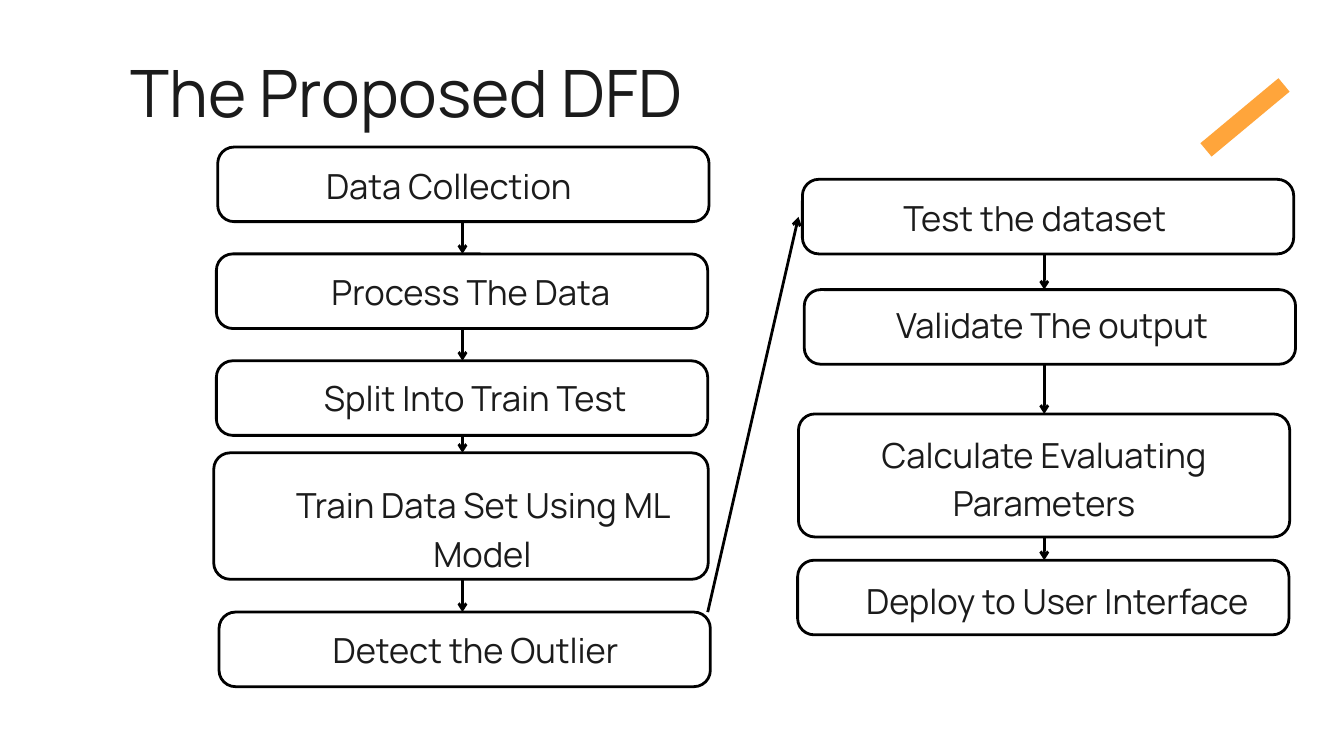
"""Build the flowchart slide of the proposed data flow."""
from lxml import etree
from pptx import Presentation
from pptx.dml.color import RGBColor
from pptx.enum.shapes import MSO_CONNECTOR, MSO_SHAPE
from pptx.enum.text import MSO_ANCHOR, MSO_AUTO_SIZE, PP_ALIGN
from pptx.oxml.ns import qn
from pptx.util import Cm, Pt


def rgb(value):
    return RGBColor.from_string(value)


def add_arrow(s, x1, y1, x2, y2):
    c = s.shapes.add_connector(MSO_CONNECTOR.STRAIGHT, Cm(x1), Cm(y1), Cm(x2), Cm(y2))
    c.line.color.rgb = rgb("000000")
    c.line.width = Pt(3)
    etree.SubElement(c.line._get_or_add_ln(), qn("a:tailEnd"), type="arrow")
    etree.SubElement(c._element.spPr, qn("a:effectLst"))


FONT, INK = "Manrope", "1B1B1B"
BOX_W, BOX_H, RADIUS, INSET = 18.57, 2.82, 0.62, 0.15

prs = Presentation()
prs.slide_width, prs.slide_height = Cm(50.8), Cm(28.58)
s = prs.slides.add_slide(prs.slide_layouts[5])
s.background.fill.solid()
s.background.fill.fore_color.rgb = rgb("FFFFFF")

title = s.shapes.title
title.left, title.top, title.width, title.height = Cm(4.93), Cm(1.75), Cm(23.01), Cm(3.12)
tf = title.text_frame
tf.margin_left = tf.margin_right = tf.margin_top = tf.margin_bottom = 0
tf.vertical_anchor = MSO_ANCHOR.TOP
tf.auto_size = MSO_AUTO_SIZE.NONE
tf.word_wrap = True
p = tf.paragraphs[0]
p.alignment = PP_ALIGN.LEFT
p.line_spacing = Pt(90.3)
r = p.add_run()
r.text = "The Proposed DFD"
r.font.name, r.font.size, r.font.color.rgb = FONT, Pt(70), rgb(INK)

bar = s.shapes.add_shape(MSO_SHAPE.RECTANGLE, Cm(45.14), Cm(4.11), Cm(3.84), Cm(0.66))
bar.rotation = 320.2
bar.shadow.inherit = False
bar.fill.solid()
bar.fill.fore_color.rgb = rgb("FFA53B")
bar.line.fill.background()

# Each step: text, left, top, width, height, text shift right, text shift down
columns = [
    (17.48, [
        ("Data Collection", 8.23, 5.56, BOX_W, BOX_H, -0.55, -0.08),
        ("Process The Data", 8.18, 9.6, BOX_W, BOX_H, 0.33, -0.1),
        ("Split Into Train Test", 8.18, 13.64, BOX_W, BOX_H, 0.5, -0.14),
        ("Train Data Set Using ML Model", 8.08, 17.12, 18.69, 4.78, 0.81, 0.37),
        ("Detect the Outlier", 8.28, 23.14, BOX_W, BOX_H, 0.41, -0.1),
    ]),
    (39.47, [
        ("Test the dataset", 30.33, 6.78, BOX_W, BOX_H, -0.5, -0.08),
        ("Validate The output", 30.4, 10.95, BOX_W, BOX_H, 0.08, -0.22),
        ("Calculate Evaluating Parameters", 30.18, 15.65, BOX_W, 4.65, 0, 0),
        ("Deploy to User Interface", 30.15, 21.18, BOX_W, BOX_H, 0.53, 0),
    ]),
]

for arrow_x, steps in columns:
    for text, x, y, w, h, dx, dy in steps:
        sp = s.shapes.add_shape(MSO_SHAPE.ROUNDED_RECTANGLE, Cm(x), Cm(y), Cm(w), Cm(h))
        sp.adjustments[0] = RADIUS / h
        sp.shadow.inherit = False
        sp.fill.solid()
        sp.fill.fore_color.rgb = rgb("FFFFFF")
        sp.line.color.rgb = rgb("000000")
        sp.line.width = Pt(3)
        tf = sp.text_frame
        tf.word_wrap = True
        tf.vertical_anchor = MSO_ANCHOR.MIDDLE
        tf.margin_left = Cm(INSET + max(2 * dx, 0))
        tf.margin_right = Cm(INSET + max(-2 * dx, 0))
        tf.margin_top = Cm(INSET + max(2 * dy, 0))
        tf.margin_bottom = Cm(INSET + max(-2 * dy, 0))
        p = tf.paragraphs[0]
        p.alignment = PP_ALIGN.CENTER
        p.line_spacing = Pt(51.8)
        r = p.add_run()
        r.text = text
        r.font.name, r.font.size, r.font.color.rgb = FONT, Pt(37), rgb(INK)
    for upper, lower in zip(steps, steps[1:]):
        add_arrow(s, arrow_x, upper[2] + upper[4], arrow_x, lower[2])

add_arrow(s, 26.75, 23.14, 30.18, 8.2)

prs.save("out.pptx")
